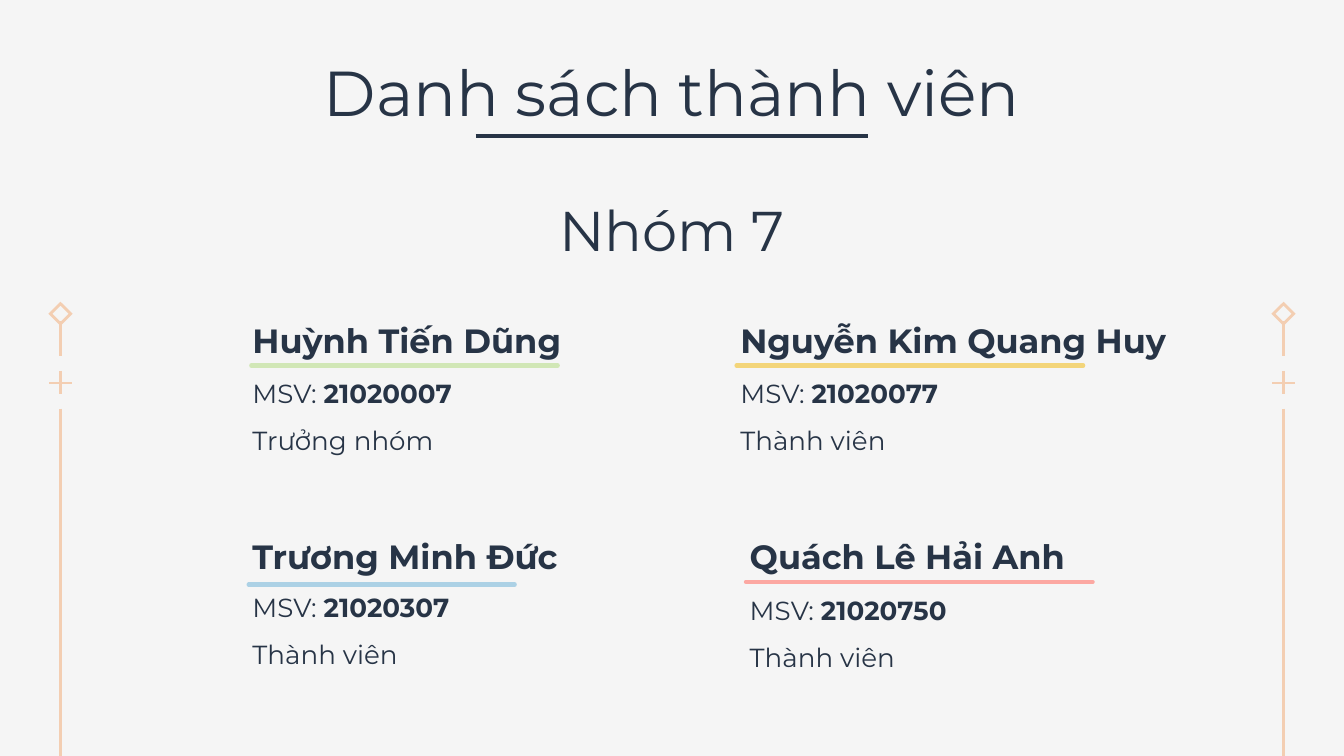
from lxml import etree
from pptx import Presentation
from pptx.dml.color import RGBColor
from pptx.enum import shapes, text
from pptx.oxml.ns import qn
from pptx.util import Inches, Pt

FONT = "Montserrat"
NAVY = RGBColor(0x27, 0x34, 0x46)
PEACH = RGBColor(0xF3, 0xCE, 0xB2)
GREEN = RGBColor(0xD1, 0xE7, 0xB6)
YELLOW = RGBColor(0xF3, 0xD5, 0x7A)
BLUE = RGBColor(0xAC, 0xD1, 0xE5)
PINK = RGBColor(0xFC, 0xA8, 0xA2)
BACKGROUND = RGBColor(0xF5, 0xF5, 0xF5)
WIDTH = 10
HEIGHT = WIDTH * 9 / 16

# Content: headings as (text, size, left, top, width)
HEADINGS = [
    ("Danh sách thành viên", 34, 1.84, 0.4, 6.32),
    ("Nhóm 7", 30, 3.73, 1.42, 2.54),
]
# Members: name, student number, role, left, top,
# widths of name, number and role, offset of the number line,
# then underline colour, left, right, y
MEMBERS = [
    ("Huỳnh Tiến Dũng", "21020007", "Trưởng nhóm", 1.78, 2.27,
     (2.54, 1.8, 1.8), 0.44, GREEN, 1.87, 4.15, 2.72),
    ("Nguyễn Kim Quang Huy", "21020077", "Thành viên", 5.41, 2.27,
     (3.58, 1.8, 1.52), 0.44, YELLOW, 5.48, 8.06, 2.72),
    ("Trương Minh Đức", "21020307", "Thành viên", 1.78, 3.88,
     (2.54, 1.87, 1.48), 0.42, BLUE, 1.85, 3.83, 4.35),
    ("Quách Lê Hải Anh", "21020750", "Thành viên", 5.48, 3.88,
     (3.58, 1.8, 1.52), 0.44, PINK, 5.55, 8.13, 4.33),
]
ROLE_STEP = 0.35

presentation = Presentation()
presentation.slide_width, presentation.slide_height = Inches(WIDTH), Inches(HEIGHT)
slide = presentation.slides.add_slide(presentation.slide_layouts[0])
slide.background.fill.solid()
slide.background.fill.fore_color.rgb = BACKGROUND


def add_line(x1, y1, x2, y2, color, width=2.25, cap="flat"):
    line = slide.shapes.add_connector(
        shapes.MSO_CONNECTOR.STRAIGHT, *map(Inches, (x1, y1, x2, y2)))
    line.line.color.rgb = color
    line.line.width = Pt(width)
    properties = line._element.spPr
    properties.find(qn("a:ln")).set("cap", cap)
    etree.SubElement(properties, qn("a:effectLst"))


def format_frame(frame, anchor):
    frame.word_wrap = True
    frame.auto_size = text.MSO_AUTO_SIZE.NONE
    frame.vertical_anchor = anchor
    frame.margin_left = frame.margin_right = Inches(0.1)
    frame.margin_top = frame.margin_bottom = Inches(0.1)


def format_font(paragraph, size, bold=None):
    font = paragraph.font
    font.name, font.size, font.bold = FONT, Pt(size), bold
    font.color.rgb = NAVY


def add_text(runs, left, top, width, height, size,
             anchor=text.MSO_ANCHOR.TOP, space_after=0):
    """Add one paragraph made of (text, bold) runs."""
    box = slide.shapes.add_textbox(*map(Inches, (left, top, width, height)))
    format_frame(box.text_frame, anchor)
    paragraph = box.text_frame.paragraphs[0]
    paragraph.space_after = Pt(space_after)
    all_bold = all(bold for _, bold in runs)
    format_font(paragraph, size, all_bold)
    for content, bold in runs:
        run = paragraph.add_run()
        run.text = content
        if bold != all_bold:
            run.font.bold = bold


# Side ornaments: diamond, short stem, plus sign and long stem
for x in (0.45, WIDTH - 0.45):
    diamond = slide.shapes.add_shape(
        shapes.MSO_SHAPE.DIAMOND, *map(Inches, (x - 0.075, 2.26, 0.15, 0.15)))
    diamond.shadow.inherit = False
    diamond.fill.background()
    diamond.line.color.rgb = PEACH
    diamond.line.width = Pt(1.5)
    etree.SubElement(diamond._element.spPr.find(qn("a:ln")), qn("a:miter"), lim="800000")
    for x1, y1, x2, y2 in [
        (x, 2.39, x, 2.65),
        (x, 2.76, x, 2.93),
        (x - 0.085, 2.85, x + 0.085, 2.85),
        (x, 3.04, x, HEIGHT),
    ]:
        add_line(x1, y1, x2, y2, PEACH, 1.5)

# Headings
for placeholder, (content, size, left, top, width) in zip(slide.placeholders, HEADINGS):
    placeholder.left, placeholder.top = Inches(left), Inches(top)
    placeholder.width, placeholder.height = Inches(width), Inches(0.63)
    frame = placeholder.text_frame
    format_frame(frame, text.MSO_ANCHOR.MIDDLE)
    frame.text = content
    paragraph = frame.paragraphs[0]
    paragraph.alignment = text.PP_ALIGN.CENTER
    paragraph.line_spacing = 0.9
    paragraph.space_before = Pt(0)
    format_font(paragraph, size)
add_line(3.54, 1.01, 6.46, 1.01, NAVY)

# Members
for (name, number, role, left, top, widths, offset,
     color, line_left, line_right, line_y) in MEMBERS:
    add_line(line_left, line_y, line_right, line_y, color, cap="rnd")
    name_width, *detail_widths = widths
    add_text([(name, True)], left, top, name_width, 0.51, 18, text.MSO_ANCHOR.BOTTOM)
    details = [[("MSV: ", False), (number, True)], [(role, False)]]
    for row, (runs, width) in enumerate(zip(details, detail_widths)):
        add_text(runs, left, top + offset + row * ROLE_STEP, width, 0.39, 14,
                 space_after=16)

presentation.save("out.pptx")
